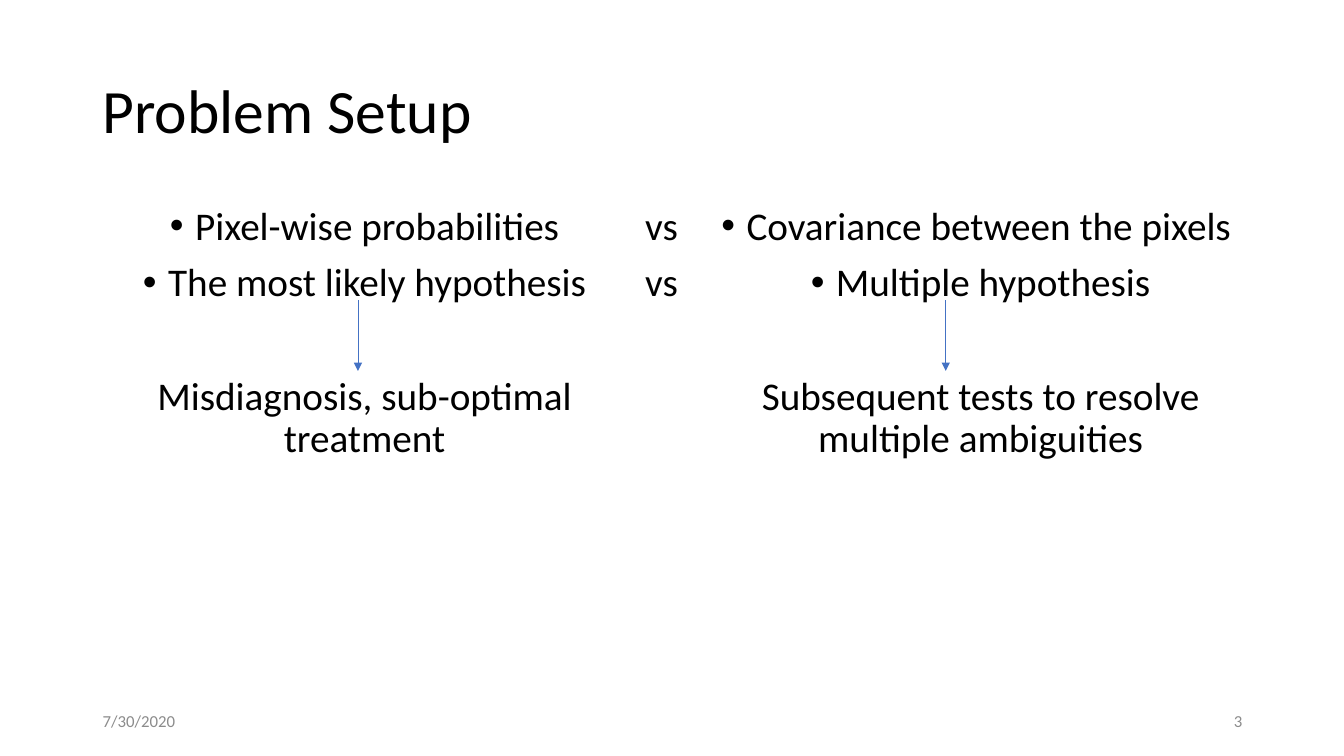
from dataclasses import dataclass

from lxml.etree import SubElement
from pptx import Presentation
from pptx.dml.color import RGBColor as Color
from pptx.enum.shapes import MSO_CONNECTOR as Line
from pptx.enum.text import MSO_ANCHOR as Anchor, PP_ALIGN as Align
from pptx.oxml.ns import qn
from pptx.util import Inches, Pt


@dataclass(frozen=True)
class Theme:
    font: str = "Calibri"
    ink: Color = Color(0x00, 0x00, 0x00)
    muted: Color = Color(0x8C, 0x8C, 0x8C)
    accent: Color = Color(0x44, 0x72, 0xC4)
    title: int = 44
    body: int = 28
    foot: int = 12
    tight: float = 0.9
    gap: int = 10
    drop: int = 51  # space left for an arrow


THEME = Theme()


def add_text(slide, box, lines, size, color=THEME.ink, align=Align.LEFT,
             anchor=Anchor.TOP, pitch=THEME.tight):
    """Add a text box and return its paragraphs."""
    frame = slide.shapes.add_textbox(*map(Inches, box)).text_frame
    frame.word_wrap = True
    frame.vertical_anchor = anchor
    frame.text = "\n".join(lines)
    for para in frame.paragraphs:
        para.alignment = align
        para.line_spacing = pitch
        font = para.runs[0].font
        font.name = THEME.font
        font.size = Pt(size)
        font.color.rgb = color
    return frame.paragraphs


def add_bullet(para):
    props = para._p.get_or_add_pPr()
    props.set("marL", str(Inches(0.25)))
    props.set("indent", str(Inches(-0.25)))
    SubElement(props, qn("a:buFont")).set("typeface", "Arial")
    SubElement(props, qn("a:buChar")).set("char", "•")


def add_column(slide, left, points, result):
    """Add bulleted points with their outcome set below them."""
    paras = add_text(slide, (left, 2, 5.39, 4.76), [*points, result],
                     THEME.body, align=Align.CENTER)
    for para in paras[:-1]:
        para.space_before = Pt(THEME.gap)
        add_bullet(para)
    paras[-1].space_before = Pt(THEME.drop)


def add_arrow(slide, x, top, end):
    arrow = slide.shapes.add_connector(
        Line.STRAIGHT, Inches(x), Inches(top), Inches(x), Inches(end))
    arrow.line.color.rgb = THEME.accent
    arrow.line.width = Pt(0.5)
    SubElement(arrow.line._get_or_add_ln(), qn("a:tailEnd")).set("type", "triangle")
    SubElement(arrow._element.spPr, qn("a:effectLst"))


def add_foot(slide, left, text, align):
    add_text(slide, (left, 6.95, 3, 0.4), [text], THEME.foot, THEME.muted,
             align, Anchor.MIDDLE, pitch=1.0)


def main():
    deck = Presentation()
    deck.slide_width = Inches(13.33)
    deck.slide_height = Inches(7.5)
    slide = deck.slides.add_slide(deck.slide_layouts[6])

    # Title
    add_text(slide, (0.92, 0.4, 11.5, 1.45), ["Problem Setup"], THEME.title,
             anchor=Anchor.MIDDLE)

    # Two sides of the comparison
    add_column(slide, 0.92,
               ["Pixel-wise probabilities", "The most likely hypothesis"],
               "Misdiagnosis, sub-optimal treatment")
    add_column(slide, 7.03,
               ["Covariance between the pixels ", "Multiple hypothesis"],
               "Subsequent tests to resolve multiple ambiguities")
    for para in add_text(slide, (6.3, 2, 0.6, 4.76), ["vs", "vs"], THEME.body):
        para.space_before = Pt(THEME.gap)

    # Arrows to the outcomes
    for x in (3.55, 9.38):
        add_arrow(slide, x, 2.98, 3.68)

    # Footer
    add_foot(slide, 9.42, "3", Align.RIGHT)
    add_foot(slide, 0.92, "7/30/2020", Align.LEFT)

    deck.save("out.pptx")


if __name__ == "__main__":
    main()
